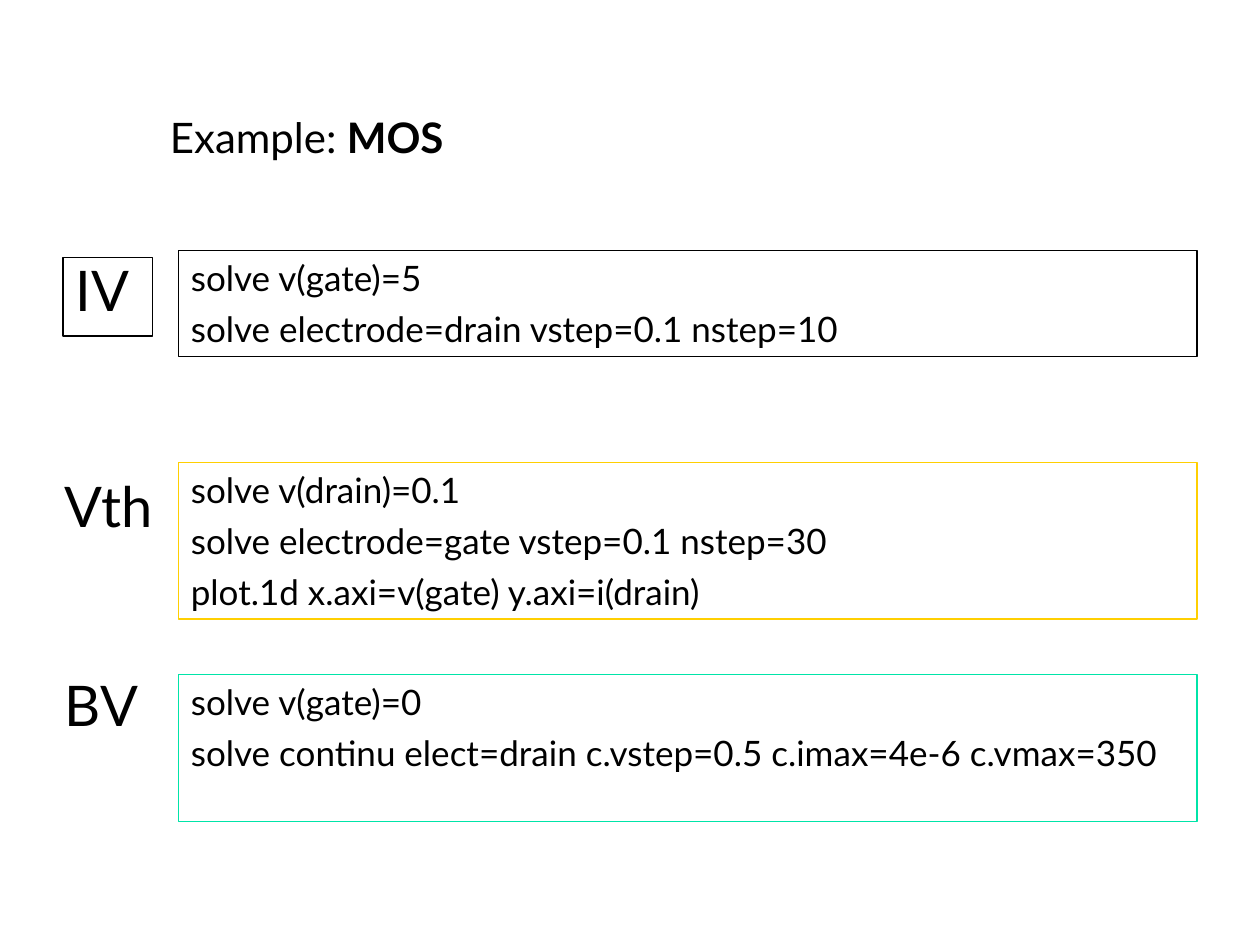
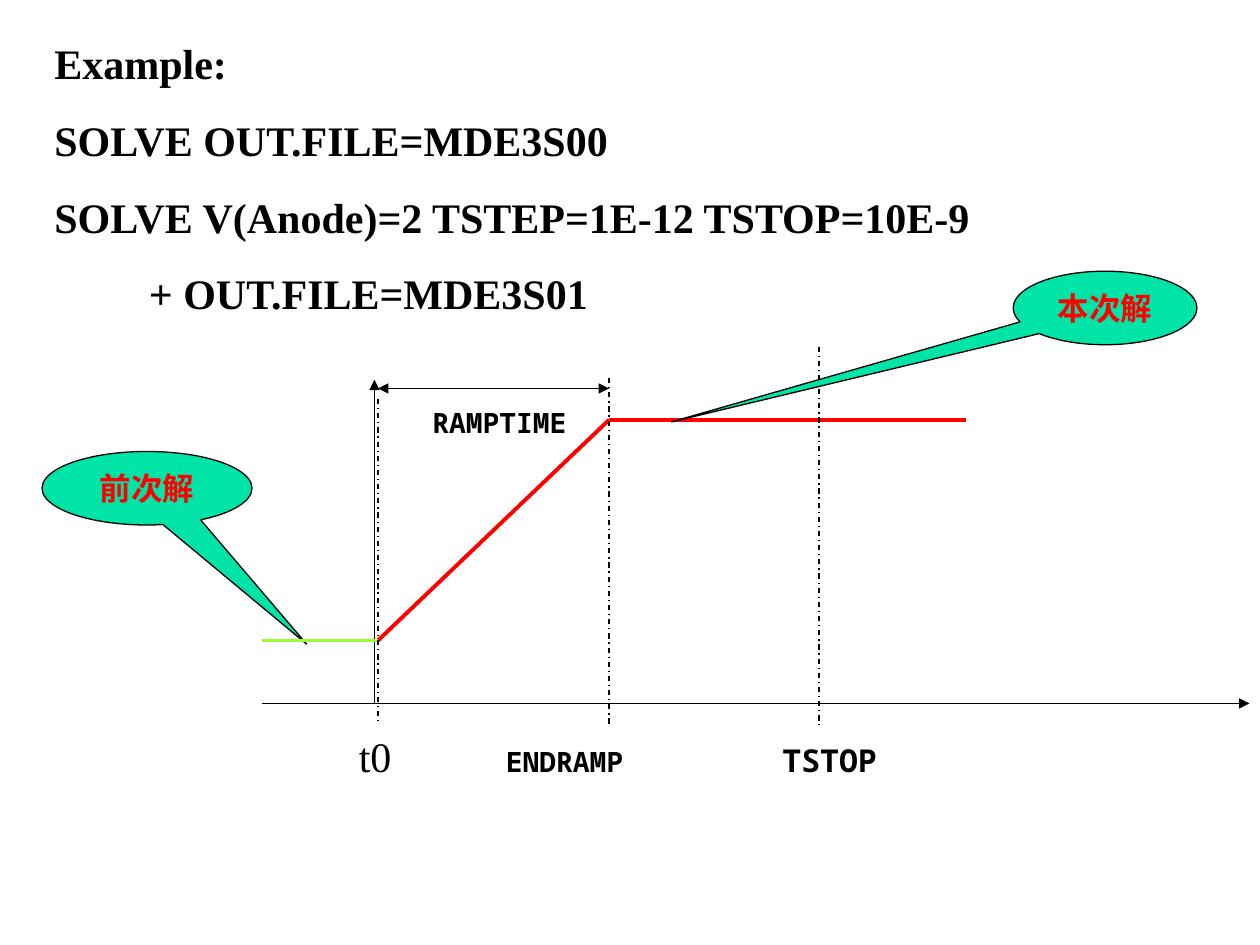
from dataclasses import dataclass

from pptx import Presentation
from pptx.dml.color import RGBColor
from pptx.enum.dml import MSO_LINE
from pptx.enum.shapes import MSO_CONNECTOR, MSO_SHAPE
from pptx.enum.text import MSO_ANCHOR, PP_ALIGN
from pptx.oxml.ns import qn
from pptx.util import Pt
from lxml.etree import SubElement


@dataclass(frozen=True)
class Theme:
    black: str = "000000"
    white: str = "FFFFFF"
    yellow: str = "FFCF01"
    teal: str = "00E4A8"
    red: str = "FF0000"
    lime: str = "99FF33"
    sans: str = "Lato"
    serif: str = "Times New Roman"
    mono: str = "Noto Sans Mono"
    heading: int = 24
    label: int = 32
    code: int = 20
    note: int = 18
    small: int = 16
    thin: float = 0.75
    thick: float = 2.25


THEME = Theme()


def write(para, text, font=THEME.sans, size=THEME.code, color=THEME.black, bold=False):
    span = para.add_run()
    span.text = text
    span.font.name = font
    span.font.size = Pt(size)
    span.font.bold = bold
    span.font.color.rgb = RGBColor.from_string(color)


class Page:
    def __init__(self, deck, theme):
        self.theme = theme
        self.shapes = deck.slides.add_slide(deck.slide_layouts[6]).shapes

    def box(self, left, top, width, height, fill=None, border=None, wrap=True):
        box = self.shapes.add_textbox(Pt(left), Pt(top), Pt(width), Pt(height))
        box.text_frame.word_wrap = wrap
        if fill:
            box.fill.solid()
            box.fill.fore_color.rgb = RGBColor.from_string(fill)
        if border:
            box.line.color.rgb = RGBColor.from_string(border)
            box.line.width = Pt(self.theme.thin)
        return box.text_frame

    def lines(self, frame, texts, gap, **style):
        for index, text in enumerate(texts):
            para = frame.add_paragraph() if index else frame.paragraphs[0]
            if index:
                para.space_before = Pt(gap)
            write(para, text, **style)

    def label(self, text, left, top, width, height, fill=None, border=None):
        para = self.box(left, top, width, height, fill, border).paragraphs[0]
        para.line_spacing = 0.9
        write(para, text, size=self.theme.label)

    def mark(self, text, left, top, width, height, **style):
        frame = self.box(left, top, width, height, wrap=False)
        write(frame.paragraphs[0], text, **style)

    def callout(self, text, left, top, width, height, pointer):
        theme = self.theme
        shape = self.shapes.add_shape(
            MSO_SHAPE.OVAL_CALLOUT, Pt(left), Pt(top), Pt(width), Pt(height))
        shape.shadow.inherit = False
        shape.adjustments[0], shape.adjustments[1] = pointer
        shape.fill.solid()
        shape.fill.fore_color.rgb = RGBColor.from_string(theme.teal)
        shape.line.color.rgb = RGBColor.from_string(theme.black)
        shape.line.width = Pt(theme.thin)
        shape.text_frame.vertical_anchor = MSO_ANCHOR.MIDDLE
        para = shape.text_frame.paragraphs[0]
        para.alignment = PP_ALIGN.CENTER
        write(para, text, font=theme.serif, size=theme.note, color=theme.red, bold=True)

    def line(self, start, end, color=THEME.black, width=THEME.thin, dash=None, arrows=()):
        line = self.shapes.add_connector(
            MSO_CONNECTOR.STRAIGHT, *(Pt(value) for value in (*start, *end)))
        line.line.color.rgb = RGBColor.from_string(color)
        line.line.width = Pt(width)
        if dash:
            line.line.dash_style = dash
        properties = line._element.spPr
        for arrow in arrows:
            SubElement(properties.find(qn("a:ln")), qn(f"a:{arrow}"), type="triangle")
        SubElement(properties, qn("a:effectLst"))


def build_mos_example(deck):
    page = Page(deck, THEME)
    title = page.box(90, 60, 613.5, 115, THEME.white, THEME.white).paragraphs[0]
    write(title, "Example:", size=THEME.heading)
    write(title, " MOS", size=THEME.heading, bold=True)

    page.label("IV", 36, 147, 51, 45, THEME.white, THEME.black)
    page.label("Vth", 30, 270, 72, 45)
    page.label("BV", 30, 384, 72, 45)

    panels = [
        (THEME.black, 60.5, ["solve v(gate)=5",
                             "solve electrode=drain vstep=0.1 nstep=10"]),
        (THEME.yellow, 89.5, ["solve v(drain)=0.1",
                              "solve electrode=gate vstep=0.1 nstep=30",
                              "plot.1d x.axi=v(gate) y.axi=i(drain)"]),
        (THEME.teal, 84, ["solve v(gate)=0",
                          "solve continu elect=drain c.vstep=0.5 c.imax=4e-6 c.vmax=350"]),
    ]
    for index, (border, height, commands) in enumerate(panels):
        frame = page.box(102, 143.3 + 121 * index, 582, height, border=border)
        page.lines(frame, commands, gap=5)


def build_ramp_example(deck):
    page = Page(deck, THEME)
    start, ramp_end, stop = 216, 348, 468
    low, high, axis_y, axis_x, axis_left = 366, 240, 402, 214, 150

    frame = page.box(24, 18, 642, 168)
    page.lines(frame, ["Example:",
                       "SOLVE OUT.FILE=MDE3S00",
                       "SOLVE V(Anode)=2 TSTEP=1E-12 TSTOP=10E-9",
                       "+ OUT.FILE=MDE3S01"],
               gap=15, font=THEME.serif, size=THEME.heading, bold=True)
    frame.paragraphs[-1]._p.get_or_add_pPr().set("marL", str(Pt(54)))

    page.line((axis_x, axis_y), (axis_x, 217), arrows=["tailEnd"])
    page.line((axis_left, axis_y), (714, axis_y), arrows=["tailEnd"])
    page.line((start, low), (ramp_end, high), THEME.red, THEME.thick)
    page.line((ramp_end, high), (552, high), THEME.red, THEME.thick)
    page.callout("前次解", 24, 258, 120, 42, (0.76, 2.12))
    page.line((start, low), (axis_left, low), THEME.lime, THEME.thick)
    for x, top in ((start, 228), (ramp_end, 216), (stop, 198)):
        page.line((x, top), (x, 414), dash=MSO_LINE.DASH_DOT)
    page.line((start, 222), (ramp_end, 222), arrows=["headEnd", "tailEnd"])
    page.callout("本次解", 579, 155, 105, 42, (-2.36, 1.55))

    page.mark("TSTOP", 440, 420, 70.5, 29, font=THEME.mono, size=THEME.note, bold=True)
    page.mark("RAMPTIME", 240, 228, 100, 26.5, font=THEME.mono, size=THEME.small, bold=True)
    page.mark("ENDRAMP", 282, 422, 94.5, 26.5, font=THEME.mono, size=THEME.small, bold=True)
    page.mark("t0", 198, 414, 36, 36, font=THEME.serif, size=THEME.heading)


def main():
    deck = Presentation()
    deck.slide_width, deck.slide_height = Pt(720), Pt(540)
    build_mos_example(deck)
    build_ramp_example(deck)
    deck.save("out.pptx")


if __name__ == "__main__":
    main()
